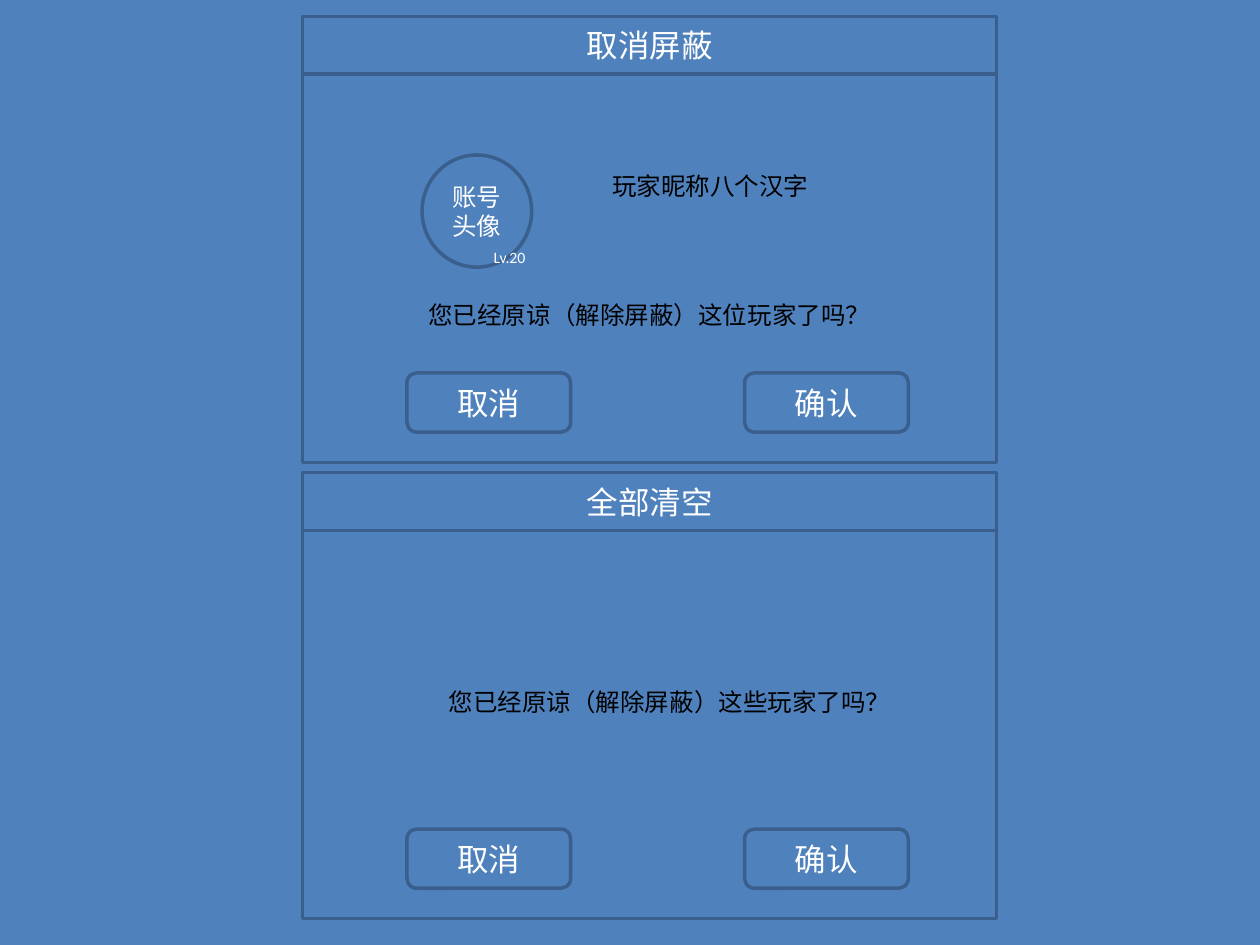
from dataclasses import dataclass

from pptx import Presentation
from pptx.dml.color import RGBColor
from pptx.enum.shapes import MSO_SHAPE as Preset
from pptx.enum.text import MSO_ANCHOR as Anchor, MSO_AUTO_SIZE as AutoSize, PP_ALIGN as Align
from pptx.util import Inches, Pt


@dataclass(frozen=True)
class Theme:
    font: str = "Calibri"
    blue: RGBColor = RGBColor(0x4F, 0x81, 0xBD)
    outline: RGBColor = RGBColor(0x3A, 0x5F, 0x8C)
    white: RGBColor = RGBColor(0xFF, 0xFF, 0xFF)
    black: RGBColor = RGBColor(0, 0, 0)
    heading: int = 18
    body: int = 14
    small: int = 9
    line: int = 2


@dataclass(frozen=True)
class Box:
    left: float
    top: float
    width: float
    height: float

    def lengths(self):
        return [Inches(value) for value in (self.left, self.top, self.width, self.height)]


@dataclass(frozen=True)
class Dialog:
    top: float
    title: str
    question: str
    question_left: float
    question_offset: float
    has_player: bool = False


THEME = Theme()
DIALOG_LEFT, DIALOG_WIDTH, DIALOG_HEIGHT = 2.4, 5.51, 3.54
TITLE_HEIGHT = 0.46
BUTTONS = {"取消": 3.23, "确认": 5.91}
DIALOGS = (
    Dialog(0.13, "取消屏蔽", "您已经原谅（解除屏蔽）这位玩家了吗？", 3.11, 2.2, has_player=True),
    Dialog(3.75, "全部清空", "您已经原谅（解除屏蔽）这些玩家了吗？", 3.27, 1.65),
)


def write_text(shape, text: str, *, size: int, color: RGBColor, align=Align.CENTER) -> None:
    shape.text_frame.word_wrap = True
    paragraph = shape.text_frame.paragraphs[0]
    paragraph.alignment = align
    run = paragraph.add_run()
    run.text = text
    run.font.name = THEME.font
    run.font.size = Pt(size)
    run.font.color.rgb = color


def add_panel(slide, preset: Preset, box: Box, text: str = "", size: int = THEME.heading) -> None:
    """Draw an outlined blue shape with optional centred white text."""
    shape = slide.shapes.add_shape(preset, *box.lengths())
    shape.shadow.inherit = False
    shape.fill.solid()
    shape.fill.fore_color.rgb = THEME.blue
    shape.line.color.rgb = THEME.outline
    shape.line.width = Pt(THEME.line)
    if text:
        shape.text_frame.vertical_anchor = Anchor.MIDDLE
        write_text(shape, text, size=size, color=THEME.white)


def add_label(slide, box: Box, text: str, *, size: int = THEME.body,
              color: RGBColor = THEME.black, align=Align.LEFT) -> None:
    label = slide.shapes.add_textbox(*box.lengths())
    write_text(label, text, size=size, color=color, align=align)
    label.text_frame.auto_size = AutoSize.SHAPE_TO_FIT_TEXT


def add_player(slide, top: float) -> None:
    """Draw the avatar, level and nickname below a dialog's top edge."""
    add_panel(slide, Preset.FLOWCHART_CONNECTOR, Box(3.35, top + 1.1, 0.87, 0.89),
              "账号头像", THEME.body)
    add_label(slide, Box(3.82, top + 1.79, 0.47, 0.25), "Lv.20",
              size=THEME.small, color=THEME.white)
    add_label(slide, Box(4.76, top + 1.18, 2.2, 0.34), "玩家昵称八个汉字")


def add_dialog(slide, dialog: Dialog) -> None:
    top = dialog.top
    add_panel(slide, Preset.RECTANGLE, Box(DIALOG_LEFT, top, DIALOG_WIDTH, DIALOG_HEIGHT))
    add_panel(slide, Preset.RECTANGLE, Box(DIALOG_LEFT, top, DIALOG_WIDTH, TITLE_HEIGHT),
              dialog.title)
    if dialog.has_player:
        add_player(slide, top)
    add_label(slide, Box(dialog.question_left, top + dialog.question_offset, 4.09, 0.34),
              dialog.question, align=Align.CENTER)
    for caption, left in BUTTONS.items():
        add_panel(slide, Preset.ROUNDED_RECTANGLE, Box(left, top + 2.83, 1.3, 0.47), caption)


def main() -> None:
    presentation = Presentation()
    presentation.slide_width = Inches(10)
    presentation.slide_height = Inches(7.5)
    slide = presentation.slides.add_slide(presentation.slide_layouts[6])
    slide.background.fill.solid()
    slide.background.fill.fore_color.rgb = THEME.blue
    for dialog in DIALOGS:
        add_dialog(slide, dialog)
    presentation.save("out.pptx")


if __name__ == "__main__":
    main()
